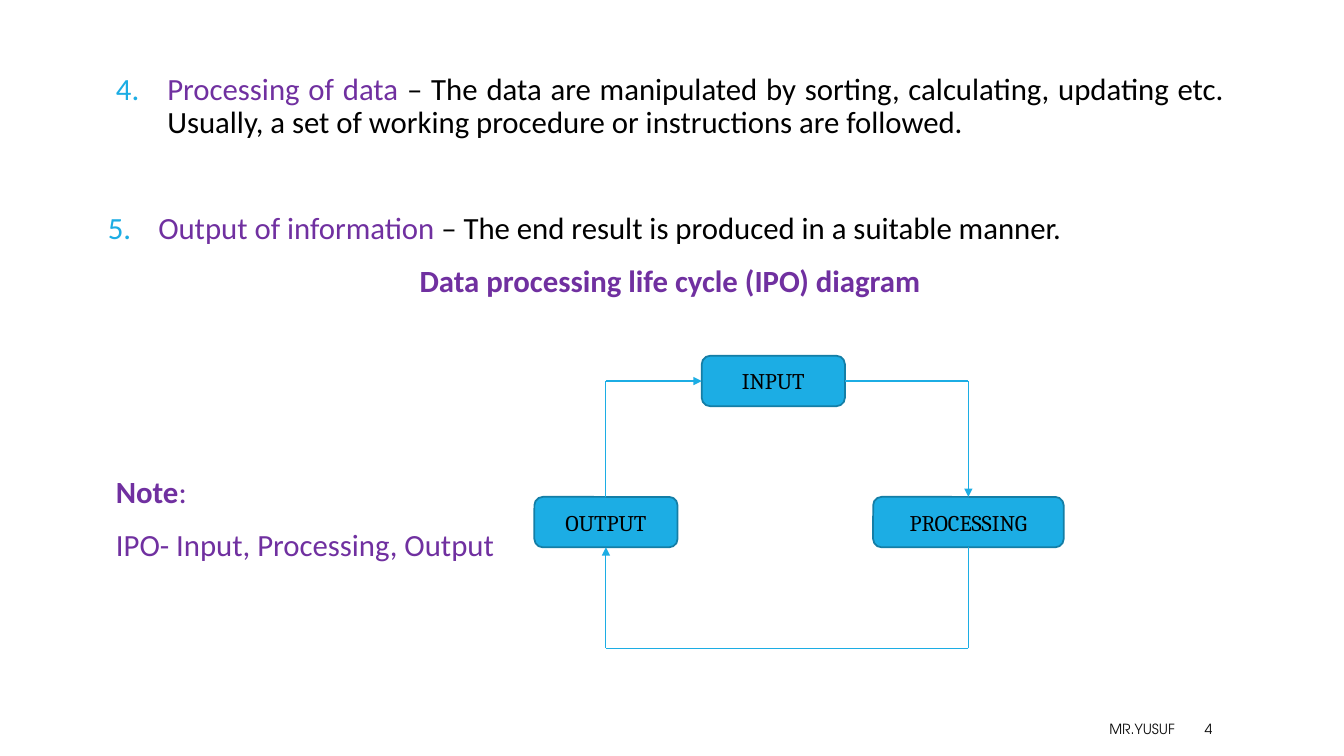
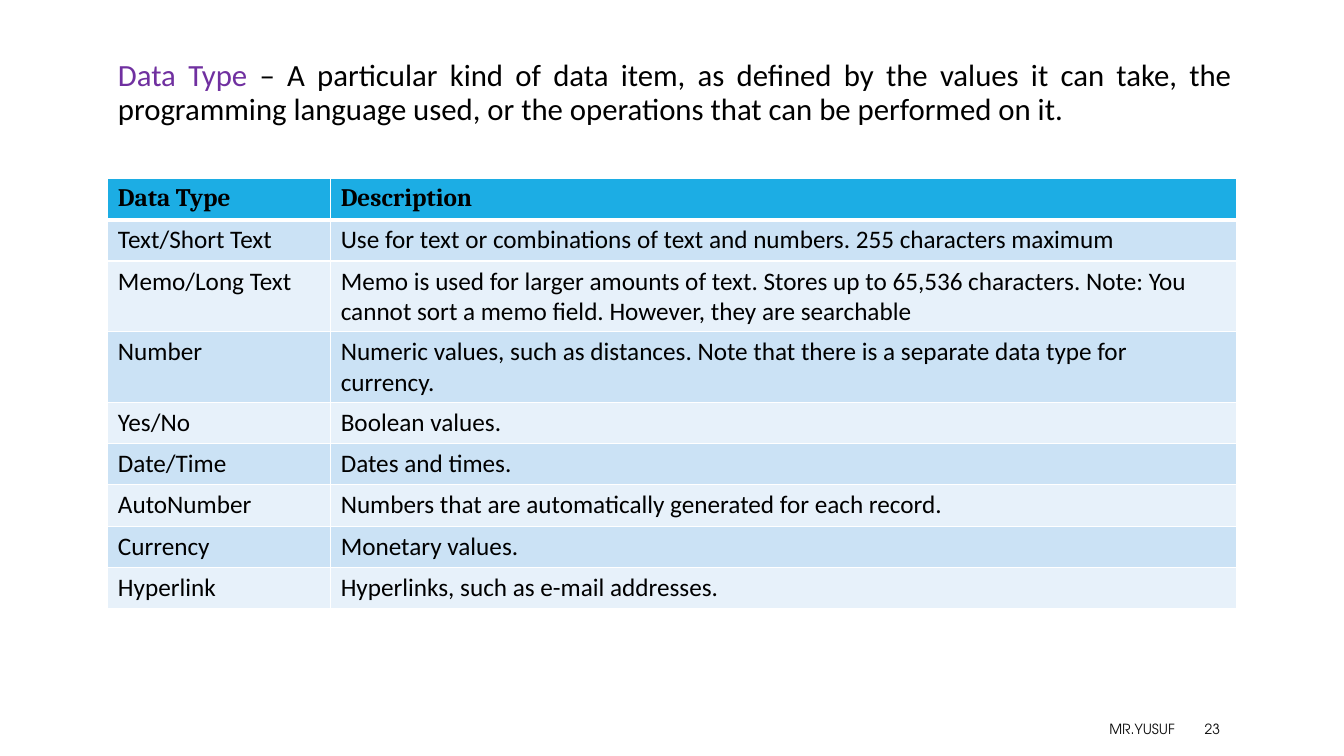
from pptx import Presentation
from pptx.dml.color import RGBColor
from pptx.enum.shapes import MSO_CONNECTOR, MSO_SHAPE
from pptx.enum.text import MSO_ANCHOR, PP_ALIGN
from pptx.oxml.ns import qn
from pptx.util import Inches, Pt
from lxml import etree

STRAIGHT, ROUNDED = MSO_CONNECTOR.STRAIGHT, MSO_SHAPE.ROUNDED_RECTANGLE
TOP, MIDDLE = MSO_ANCHOR.TOP, MSO_ANCHOR.MIDDLE
LEFT, CENTER, RIGHT, JUSTIFY = (PP_ALIGN.LEFT, PP_ALIGN.CENTER,
                                PP_ALIGN.RIGHT, PP_ALIGN.JUSTIFY)
SIDE_TOP, SIDE_LEFT, SIDE_BOTTOM, SIDE_RIGHT = range(4)

# Shared look
BLUE, BLUE_EDGE, PURPLE = "1CADE4", "147EA6", "7030A0"
BLACK, WHITE, FOOTER_INK = "000000", "FFFFFF", "0C0C0C"
BANDS = ("CBE2F5", "E7F1FA")
BODY, SERIF, FOOTER = "Calibri", "Cambria", "TeX Gyre Adventor"
AUTHOR = "MR.YUSUF"

# Steps slide: runs are (text, colour, bold)
STEPS = [
    dict(runs=[("Processing of data ", PURPLE, False),
               ("– The data are manipulated by sorting, calculating, updating etc. "
                "Usually, a set of working procedure or instructions are followed.",
                BLACK, False)],
         number=4, indent=(0.59, -0.51)),
    dict(runs=[("Output of information ", PURPLE, False),
               ("– The end result is produced in a suitable manner.", BLACK, False)],
         number=5, indent=(0.5, -0.5), before=52),
    dict(runs=[("Data processing life cycle (IPO) diagram", PURPLE, True)],
         align=CENTER, indent=(0.09, -0.01), before=14),
    dict(runs=[("Note", PURPLE, True), (":", PURPLE, False)],
         indent=(0.09, -0.01), before=127),
    dict(runs=[("IPO- Input, Processing, Output", PURPLE, False)],
         indent=(0.09, -0.01), before=14),
]
BOX_H = 0.5
BOXES = {  # name: left, top, width
    "INPUT": (6.96, 3.53, 1.42),
    "PROCESSING": (8.66, 4.93, 1.89),
    "OUTPUT": (5.3, 4.93, 1.42),
}
RETURN_Y = 6.43

# Data type slide
DEFINITION = [dict(runs=[
    ("Data Type ", PURPLE, False),
    ("– A particular kind of data item, as defined by the values it can take, the "
     "programming language used, or the operations that can be performed on it.",
     BLACK, False)])]
DATA_TYPES = [
    ("Data Type", "Description"),
    ("Text/Short Text",
     "Use for text or combinations of text and numbers. 255 characters maximum"),
    ("Memo/Long Text",
     "Memo is used for larger amounts of text. Stores up to 65,536 characters. "
     "Note: You cannot sort a memo field. However, they are searchable"),
    ("Number", "Numeric values, such as distances. Note that there is a separate "
               "data type for currency."),
    ("Yes/No", "Boolean values."),
    ("Date/Time", "Dates and times."),
    ("AutoNumber", "Numbers that are automatically generated for each record."),
    ("Currency", "Monetary values."),
    ("Hyperlink", "Hyperlinks, such as e-mail addresses."),
]
COLUMNS, ROW_H = (2.21, 8.98), 0.41


def rgb(color):
    return RGBColor.from_string(color)


def style(r, font, size, color, bold=False):
    r.font.name, r.font.size, r.font.bold = font, Pt(size), bold
    r.font.color.rgb = rgb(color)


def sub(parent, tag, **attrs):
    return etree.SubElement(parent, qn(tag), attrs)


def add_text(s, at, paragraphs, font=BODY, size=22, anchor=TOP, inset=0.05):
    sp = s.shapes.add_textbox(*map(Inches, at))
    tf = sp.text_frame
    tf.word_wrap, tf.vertical_anchor = True, anchor
    tf.margin_left = tf.margin_right = Inches(inset)
    for i, item in enumerate(paragraphs):
        p = tf.add_paragraph() if i else tf.paragraphs[0]
        p.alignment = item.get("align", JUSTIFY)
        p.line_spacing = item.get("spacing", 0.9)
        p.space_before = Pt(item.get("before", 0))
        pPr = p._p.get_or_add_pPr()
        margin, indent = item.get("indent", (0, 0))
        pPr.set("marL", str(Inches(margin)))
        pPr.set("indent", str(Inches(indent)))
        if "number" in item:
            sub(sub(pPr, "a:buClr"), "a:srgbClr", val=BLUE)
            sub(pPr, "a:buAutoNum", type="arabicPeriod", startAt=str(item["number"]))
        for text, color, bold in item["runs"]:
            r = p.add_run()
            r.text = text
            style(r, font, size, color, bold)


def add_slide(prs, number):
    s = prs.slides.add_slide(prs.slide_layouts[6])
    for left, width, text, align in ((5.3, 6.45, AUTHOR, RIGHT),
                                     (11.85, 1.06, str(number), LEFT)):
        add_text(s, (left, 7.08, width, 0.3),
                 [dict(runs=[(text, FOOTER_INK, False)], align=align, spacing=1.0)],
                 FOOTER, 10, MIDDLE, 0.1)
    return s


def add_box(s, name):
    left, top, width = BOXES[name]
    sp = s.shapes.add_shape(ROUNDED, *map(Inches, (left, top, width, BOX_H)))
    sp.shadow.inherit = False
    sp.fill.solid()
    sp.fill.fore_color.rgb = rgb(BLUE)
    sp.line.color.rgb = rgb(BLUE_EDGE)
    sp.line.width = Pt(1.25)
    tf = sp.text_frame
    tf.text = name
    tf.vertical_anchor = MIDDLE
    tf.paragraphs[0].alignment = CENTER
    style(tf.paragraphs[0].runs[0], SERIF, 16, BLACK)
    return sp


def side_point(box, side):
    x = box.left + (0, 0, 0, box.width)[side]
    y = box.top + (0, 0, box.height, 0)[side]
    if side in (SIDE_TOP, SIDE_BOTTOM):
        return x + box.width // 2, y
    return x, y + box.height // 2


def add_route(s, start, end, corners):
    """Draw straight segments from one (box, side) to another, arrow on the last."""
    points = [side_point(*start), *corners, side_point(*end)]
    last = len(points) - 2
    for i, (a, b) in enumerate(zip(points, points[1:])):
        line = s.shapes.add_connector(STRAIGHT, *a, *b)
        line.line.color.rgb = rgb(BLUE)
        line.line.width = Pt(0.75)
        if i == 0:
            line.begin_connect(*start)
        if i == last:
            line.end_connect(*end)
            sub(line.line._get_or_add_ln(), "a:tailEnd", type="triangle")
        sub(line._element.spPr, "a:effectLst")


def add_cycle(s):
    boxes = {name: add_box(s, name) for name in BOXES}
    top, right, left = (boxes[n] for n in ("INPUT", "PROCESSING", "OUTPUT"))
    right_x, left_x = (side_point(b, SIDE_TOP)[0] for b in (right, left))
    top_y = side_point(top, SIDE_LEFT)[1]
    bottom_y = Inches(RETURN_Y)
    add_route(s, (top, SIDE_RIGHT), (right, SIDE_TOP), [(right_x, top_y)])
    add_route(s, (right, SIDE_BOTTOM), (left, SIDE_BOTTOM),
              [(right_x, bottom_y), (left_x, bottom_y)])
    add_route(s, (left, SIDE_TOP), (top, SIDE_LEFT), [(left_x, top_y)])


def add_border(cell, tag, width):
    ln = sub(cell._tc.get_or_add_tcPr(), tag, w=str(Pt(width)))
    sub(sub(ln, "a:solidFill"), "a:srgbClr", val=WHITE)


def add_data_table(s):
    rows = len(DATA_TYPES)
    table = s.shapes.add_table(rows, len(COLUMNS), Inches(1.07), Inches(1.77),
                               Inches(sum(COLUMNS)), Inches(rows * ROW_H)).table
    for column, width in zip(table.columns, COLUMNS):
        column.width = Inches(width)
    for i, texts in enumerate(DATA_TYPES):
        table.rows[i].height = Inches(ROW_H)
        header = i == 0
        for j, text in enumerate(texts):
            cell = table.cell(i, j)
            cell.text = text
            style(cell.text_frame.paragraphs[0].runs[0],
                  SERIF if header else BODY, 18, BLACK, header)
            for tag, width in (("a:lnL", 1), ("a:lnR", 1),
                               ("a:lnT", 3 if i == 1 else 1),
                               ("a:lnB", 3 if header else 1)):
                add_border(cell, tag, width)
            cell.fill.solid()
            cell.fill.fore_color.rgb = rgb(BLUE if header else BANDS[(i - 1) % 2])


def main():
    prs = Presentation()
    prs.slide_width, prs.slide_height = Inches(13.33), Inches(7.5)

    # Processing steps and life cycle
    s = add_slide(prs, 4)
    add_text(s, (1.02, 0.68, 11.17, 6.14), STEPS)
    add_cycle(s)

    # Data types
    s = add_slide(prs, 23)
    add_text(s, (1.12, 0.55, 11.15, 6.35), DEFINITION)
    add_data_table(s)

    prs.save("out.pptx")


if __name__ == "__main__":
    main()
